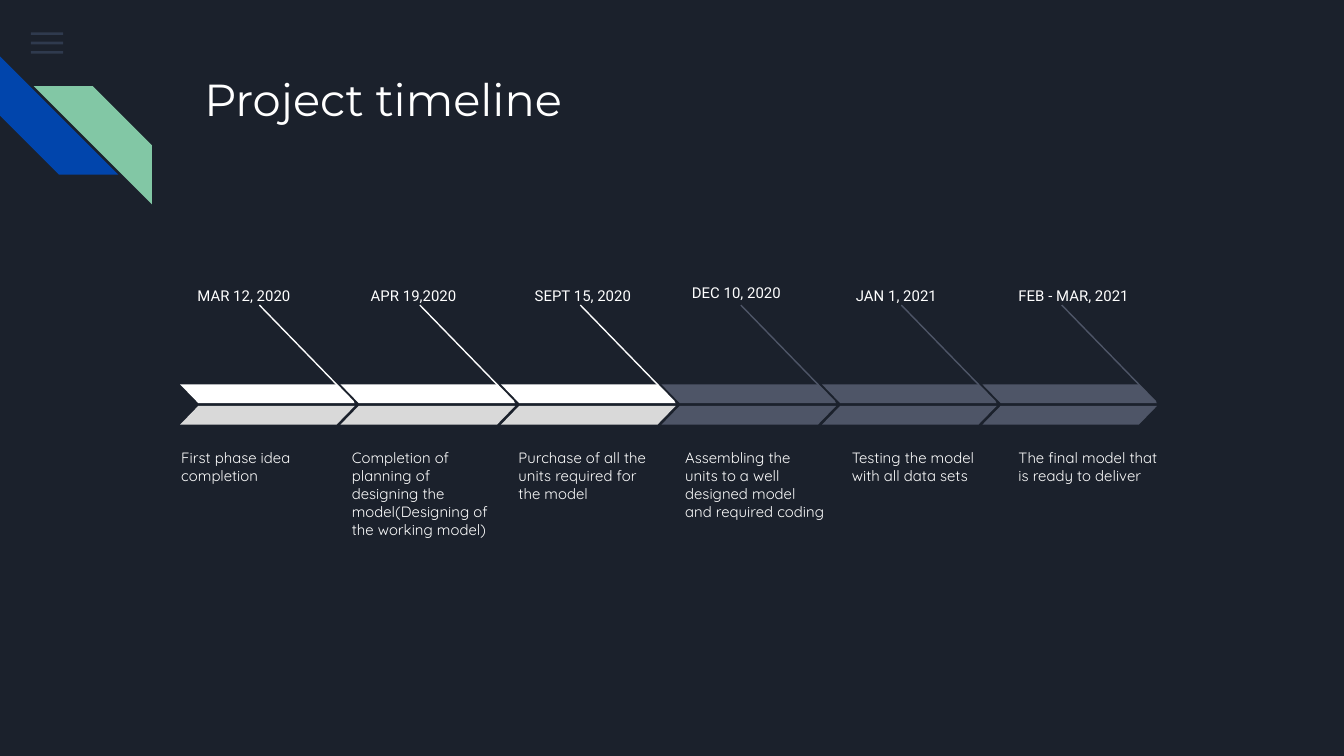
from lxml.etree import SubElement
from pptx import Presentation
from pptx.dml.color import RGBColor
from pptx.enum.shapes import MSO_CONNECTOR, MSO_SHAPE
from pptx.enum.text import MSO_ANCHOR, MSO_AUTO_SIZE, PP_ALIGN
from pptx.oxml.ns import qn
from pptx.util import Inches, Pt

NIGHT = RGBColor(0x1B, 0x21, 0x2C)
WHITE = RGBColor(0xFF, 0xFF, 0xFF)
SILVER = RGBColor(0xD9, 0xD9, 0xD9)
SLATE = RGBColor(0x4E, 0x55, 0x67)
STEEL = RGBColor(0x55, 0x68, 0x8B)
BLUE = RGBColor(0x01, 0x45, 0xAC)
GREEN = RGBColor(0x82, 0xC7, 0xA5)

# date, its left, top and width, description, done
STEPS = [
    ("MAR 12, 2020", 1.37, 2.03, 1.06, "First phase idea completion", True),
    ("APR 19,2020", 2.66, 2.03, 1.05,
     "Completion of planning of designing the model(Designing of the working model)", True),
    ("SEPT 15, 2020", 3.88, 2.03, 1.12,
     "Purchase of all the units required for the model", True),
    ("DEC 10, 2020", 5.05, 2.01, 1.16,
     "Assembling the units to a well designed model and required coding", False),
    ("JAN 1, 2021", 6.27, 2.03, 0.96, "Testing the model with all data sets", False),
    ("FEB - MAR, 2021", 7.48, 2.03, 1.24, "The final model that is ready to deliver", False),
]


def place(shape, box):
    shape.left, shape.top, shape.width, shape.height = map(Inches, box)


def write(shape, text, font, size, after=0):
    frame = shape.text_frame
    frame.word_wrap = True
    frame.auto_size = MSO_AUTO_SIZE.NONE
    frame.vertical_anchor = MSO_ANCHOR.TOP
    frame.margin_left = frame.margin_right = Inches(0.1)
    frame.margin_top = frame.margin_bottom = Inches(0.1)
    para = frame.paragraphs[0]
    para.alignment = PP_ALIGN.LEFT
    para.space_before, para.space_after = Pt(0), Pt(after)
    run = para.add_run()
    run.text = text
    run.font.name, run.font.size = font, Pt(size)
    run.font.color.rgb = WHITE


def label(shapes, box, text, font, **format):
    write(shapes.add_textbox(*map(Inches, box)), text, font, 8, **format)


def draw(shapes, kind, box, color, adjust=None, flip=False, turn=0):
    """Add a plain filled preset shape."""
    shape = shapes.add_shape(kind, *map(Inches, box))
    shape.shadow.inherit = False
    shape.fill.solid()
    shape.fill.fore_color.rgb = color
    shape.line.fill.background()
    shape.rotation = turn
    if adjust is not None:
        shape.adjustments[0] = adjust
    if flip:
        shape._element.spPr.find(qn("a:xfrm")).set("flipH", "1")
    return shape


def add_line(shapes, start, end, color):
    line = shapes.add_connector(MSO_CONNECTOR.STRAIGHT, *map(Inches, start + end))
    line.line.color.rgb = color
    line.line.width = Pt(0.75)
    SubElement(line._element.spPr, qn("a:effectLst"))


def add_menu(shapes, left, top, width):
    for row in range(3):
        bar = draw(shapes, MSO_SHAPE.RECTANGLE, (left, top + row * 0.07, width, 0.02), STEEL)
        tint = bar._element.spPr.find(qn("a:solidFill"))[0]
        SubElement(tint, qn("a:alpha")).set("val", "36000")


def add_stripes(shapes, left, top, size):
    group = shapes.add_group_shape().shapes
    stripe = MSO_SHAPE.DIAGONAL_STRIPE
    draw(group, stripe, (left, top, size, size), BLUE, 0.5, turn=270)
    draw(group, stripe, (left + 0.25, top + 0.22, size, size), GREEN, 0.5, flip=True)


def add_arrow(shapes, left, top, done):
    """Add one chevron of two halves and the line up to its date."""
    upper, lower = (WHITE, SILVER) if done else (SLATE, SLATE)
    add_line(shapes, (left + 0.59, top - 0.59), (left + 1.29, top + 0.13), upper)
    slant = MSO_SHAPE.PARALLELOGRAM
    draw(shapes, slant, (left, top, 1.3, 0.14), upper, 0.97, flip=True)
    draw(shapes, slant, (left, top + 0.16, 1.3, 0.14), lower, 0.97)


def add_timeline(shapes, left, top, span):
    pitch = span / (len(STEPS) - 1)
    for i, (date, x, y, width, text, done) in enumerate(STEPS):
        label(shapes, (x, y, width, 0.23), date, "Roboto")
        # the first column reaches a little further left
        shift, wide = (-0.09, 1.28) if i == 0 else (-0.06, 1.24)
        column = (left + shift + i * 1.24, top + 0.38, wide, 0.73)
        label(shapes, column, text, "Quicksand", after=16)
        add_arrow(shapes, left + i * pitch, top, done)


def build():
    deck = Presentation()
    deck.slide_width = Inches(10)
    deck.slide_height = deck.slide_width * 9 // 16
    slide = deck.slides.add_slide(deck.slide_layouts[5])
    slide.background.fill.solid()
    slide.background.fill.fore_color.rgb = NIGHT
    shapes = slide.shapes
    add_menu(shapes, 0.23, 0.24, 0.24)
    add_stripes(shapes, 0, 0.42, 0.88)
    place(shapes.title, (1.42, 0.43, 7.7, 1))
    write(shapes.title, "Project timeline", "Montserrat", 24)
    add_timeline(shapes, 1.34, 2.86, 5.97)
    deck.save("out.pptx")


if __name__ == "__main__":
    build()
